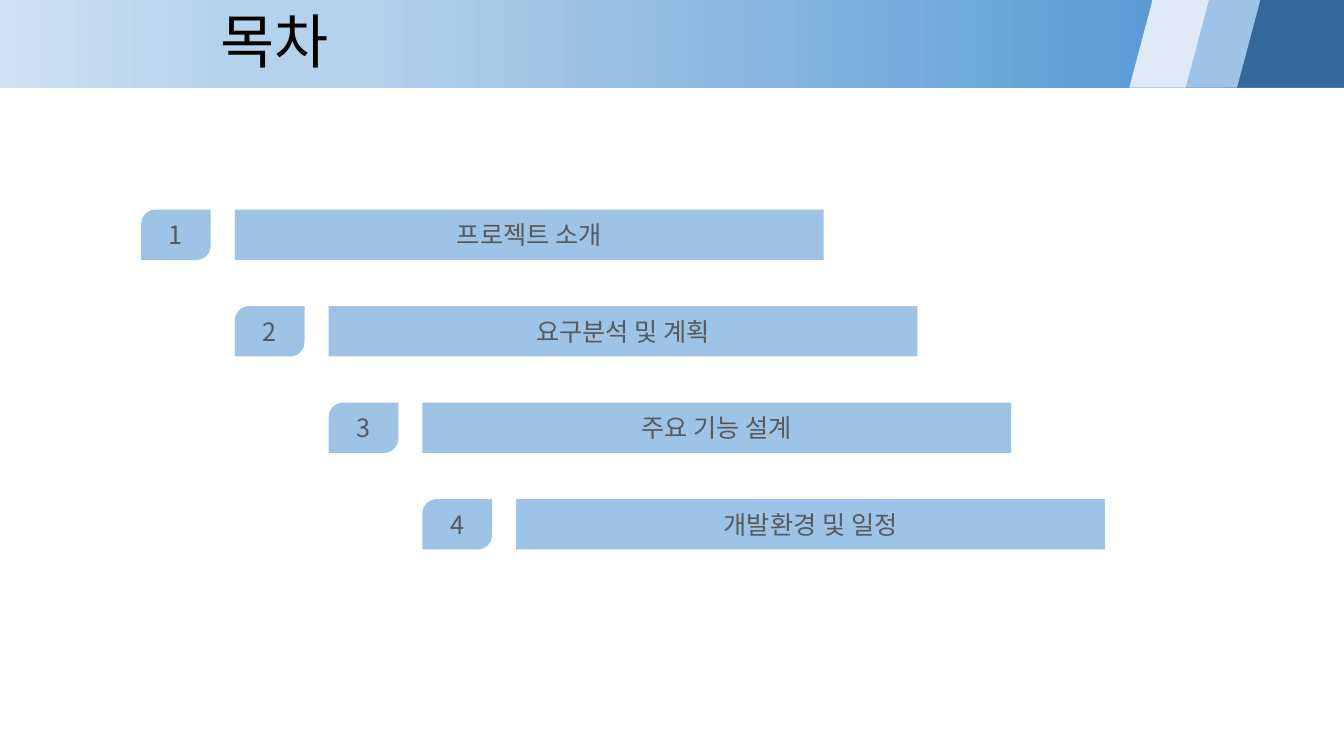
from lxml import etree
from pptx import Presentation
from pptx import util as u
from pptx.dml.color import RGBColor
from pptx.enum import shapes, text
from pptx.oxml.ns import qn

SLIDE_W, SLIDE_H = 13.33, 7.5
BANNER_H = 0.87
STEP_X, STEP_Y = 0.93, 0.957
FIRST_X, FIRST_Y = 1.4, 2.08
ROW_H, BADGE_W, BAR_W = 0.5, 0.69, 5.84

SKY = RGBColor(0x9D, 0xC3, 0xE6)
PALE = RGBColor(0xDE, 0xEB, 0xF7)
NAVY = RGBColor(0x1F, 0x4E, 0x79)
GREY = RGBColor(0x59, 0x59, 0x59)
BLACK = RGBColor(0, 0, 0)
BANNER_STOPS = [
    (14, RGBColor(0x5B, 0x9B, 0xD5)),
    (74, RGBColor(0xB5, 0xD2, 0xEC)),
    (83, RGBColor(0xB5, 0xD2, 0xEC)),
    (100, RGBColor(0xCE, 0xE1, 0xF2)),
]
KOREAN_FONT = "Noto Sans CJK KR"
TOPICS = ["프로젝트 소개", "요구분석 및 계획", "주요 기능 설계", "개발환경 및 일정"]


def place(box, left, top, width, height):
    """Set the position and size of a shape in inches."""
    box.left, box.top = u.Inches(left), u.Inches(top)
    box.width, box.height = u.Inches(width), u.Inches(height)


def add_block(page, kind, area, color, adjust=()):
    """Add a plain filled preset shape without line or shadow."""
    box = page.shapes.add_shape(kind, *(u.Inches(side) for side in area))
    box.shadow.inherit = False
    box.line.fill.background()
    box.fill.solid()
    box.fill.fore_color.rgb = color
    for index, value in enumerate(adjust):
        box.adjustments[index] = value
    return box


def write(box, words, size, color, font=KOREAN_FONT,
          align=text.PP_ALIGN.CENTER, spacing=1.0):
    """Put one formatted, vertically centred line of text in a shape."""
    frame = box.text_frame
    frame.word_wrap = True
    frame.auto_size = text.MSO_AUTO_SIZE.NONE
    frame.vertical_anchor = text.MSO_ANCHOR.MIDDLE
    para = frame.paragraphs[0]
    para.alignment, para.line_spacing = align, spacing
    span = para.add_run()
    span.text = words
    span.font.size, span.font.name = u.Pt(size), font
    span.font.color.rgb = color
    east_asian = etree.Element(qn("a:ea"), typeface=KOREAN_FONT)
    span.font._element.find(qn("a:latin")).addnext(east_asian)


def set_gradient(box, stops, angle):
    """Fill a shape with a linear gradient of (percent, color) stops."""
    box.fill.gradient()
    box.fill.gradient_angle = angle
    stop_list = box._element.spPr.find(qn("a:gradFill")).find(qn("a:gsLst"))
    for old_stop in list(stop_list):
        stop_list.remove(old_stop)
    for percent, color in stops:
        stop = etree.SubElement(stop_list, qn("a:gs"), pos=str(percent * 1000))
        etree.SubElement(stop, qn("a:srgbClr"), val=str(color))


def set_opacity(box, percent):
    """Make the solid fill of a shape partly transparent."""
    color = box._element.spPr.find(qn("a:solidFill"))[0]
    etree.SubElement(color, qn("a:alpha"), val=str(percent * 1000))


def add_banner(page):
    """Draw the gradient band and its slanted stripes on the right."""
    kinds = shapes.MSO_SHAPE
    band = add_block(page, kinds.RECTANGLE, (0, 0, SLIDE_W, BANNER_H), SKY)
    set_gradient(band, BANNER_STOPS, 180)
    corner = add_block(page, kinds.RECTANGLE,
                       (12.15, 0, SLIDE_W - 12.15, BANNER_H), NAVY)
    set_opacity(corner, 66)
    for left, color in ((11.71, SKY), (11.2, PALE)):
        add_block(page, kinds.PARALLELOGRAM, (left, 0, 0.79, BANNER_H),
                  color, adjust=[0.292])


def add_title(page, words):
    """Format the title placeholder and bring it in front of the banner."""
    title = page.shapes.title
    place(title, 2.09, 0.02, SLIDE_W, 0.85)
    write(title, words, 42, BLACK, font="Arial",
          align=text.PP_ALIGN.LEFT, spacing=0.9)
    page.shapes._spTree.append(title._element)


def add_topic(page, row, words):
    """Add one numbered step of the contents staircase."""
    left, top = FIRST_X + row * STEP_X, FIRST_Y + row * STEP_Y
    badge = add_block(page, shapes.MSO_SHAPE.ROUND_2_DIAG_RECTANGLE,
                      (left, top, BADGE_W, ROW_H), SKY, adjust=[0.284, 0])
    write(badge, str(row + 1), 18, GREY)
    bar = add_block(page, shapes.MSO_SHAPE.RECTANGLE,
                    (left + STEP_X, top, BAR_W, ROW_H), SKY)
    write(bar, words, 18, GREY)


def main():
    """Build the contents slide."""
    deck = Presentation()
    deck.slide_width, deck.slide_height = u.Inches(SLIDE_W), u.Inches(SLIDE_H)
    page = deck.slides.add_slide(deck.slide_layouts.get_by_name("Title Only"))
    add_banner(page)
    add_title(page, "목차")
    for row, words in enumerate(TOPICS):
        add_topic(page, row, words)
    deck.save("out.pptx")


main()
